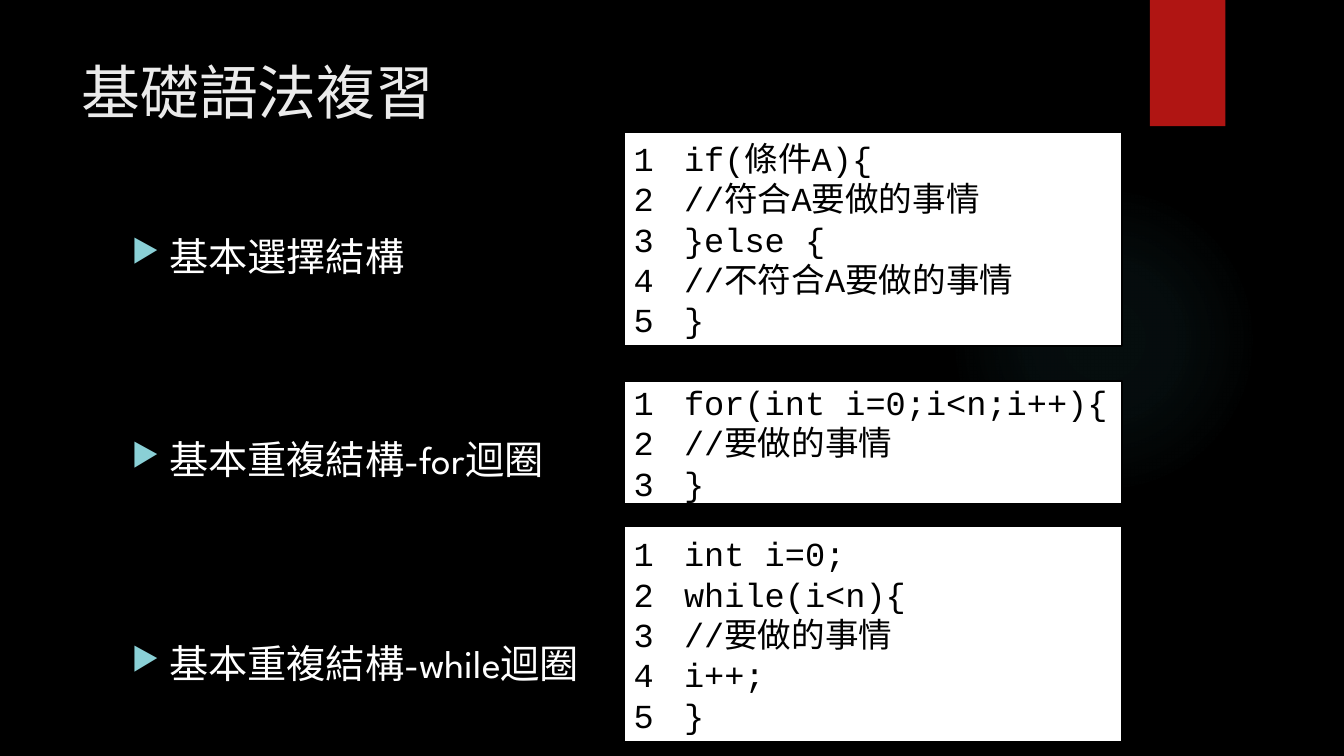
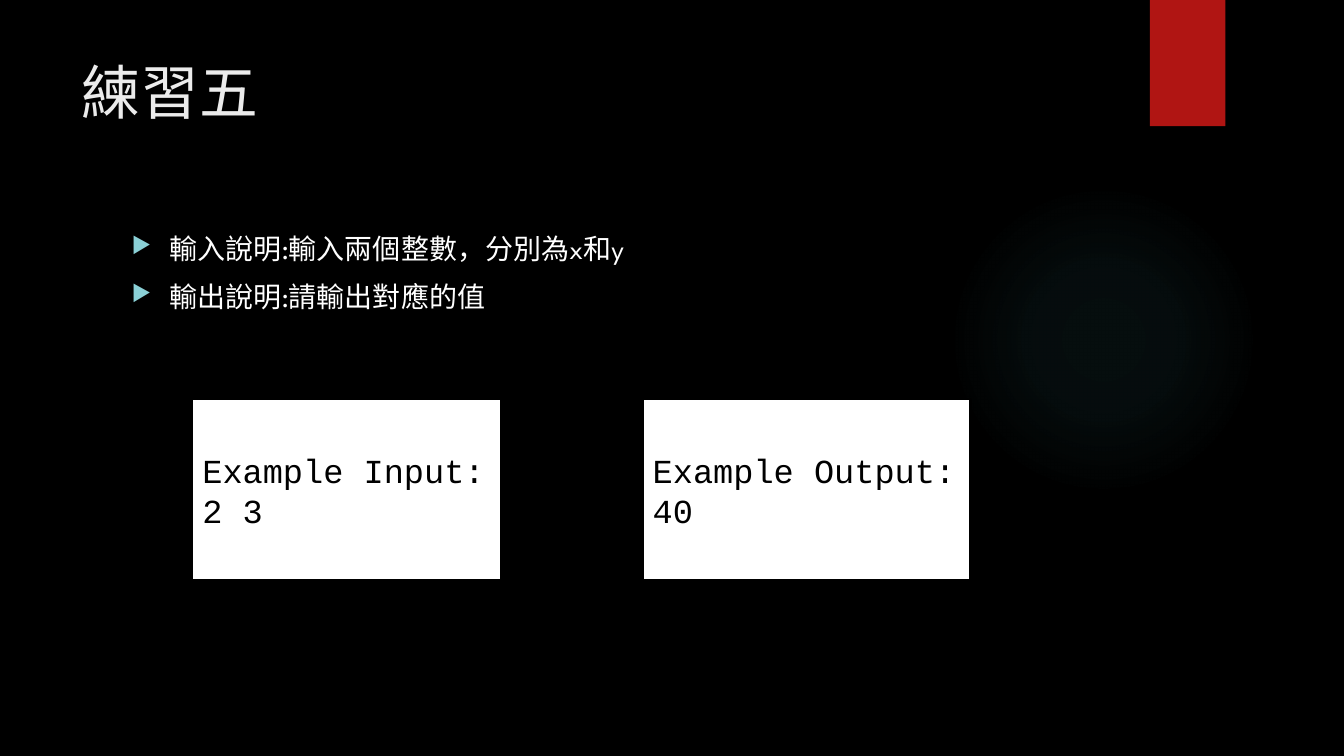
from lxml import etree
from pptx import Presentation
from pptx.dml.color import RGBColor
from pptx.enum import shapes, text
from pptx.oxml import ns
from pptx.util import Cm, Pt

COLORS = {
    "background": "000000",
    "title": "EBEBEB",
    "body": "FFFFFF",
    "bullet": "8AD0D6",
    "ribbon": "B01513",
    "glow": "50B9C1",
    "panel": "FFFFFF",
    "code": "000000",
}
HEADING_FONT = "League Spartan"
CODE_FONT = "Courier New"
GLOW_STOPS = [(0, 7), (36, 6), (69, 0), (100, 0)]  # position and opacity, in percent

# Each panel: left, top, width, height in cm, then its lines
SLIDES = [
    {
        "title": "基礎語法複習",
        "bullets": ["基本選擇結構", "基本重複結構-for迴圈", "基本重複結構-while迴圈"],
        "size": 28,
        "gap": 112,
        "numbered": True,
        "panels": [
            (15.72, 3.33, 12.55, 5.38,
             ["if(條件A){", "//符合A要做的事情", "}else {", "//不符合A要做的事情", "}"]),
            (15.72, 9.6, 12.55, 3.1,
             ["for(int i=0;i<n;i++){", "//要做的事情", "}"]),
            (15.72, 13.26, 12.55, 5.44,
             ["int i=0;", "while(i<n){", "//要做的事情", "i++;", "}"]),
        ],
    },
    {
        "title": "練習五",
        "bullets": ["輸入說明:輸入兩個整數，分別為x和y", "輸出說明:請輸出對應的值"],
        "size": 20,
        "gap": 10,
        "numbered": False,
        "panels": [
            (4.85, 10.06, 7.77, 4.57, ["Example Input:", "2 3"]),
            (16.2, 10.06, 8.26, 4.57, ["Example Output:", "40"]),
        ],
    },
]


def write_lines(text_frame, lines, font_name, size, color):
    text_frame.word_wrap = True
    text_frame.text = "\n".join(lines)
    for paragraph in text_frame.paragraphs:
        paragraph.alignment = text.PP_ALIGN.LEFT
        for run in paragraph.runs:
            run.font.name = font_name
            run.font.size = Pt(size)
            run.font.color.rgb = RGBColor.from_string(COLORS[color])


def add_marker(paragraph, indent, xml):
    """Give a paragraph a hanging indent and the bullet elements in xml."""
    properties = paragraph._p.get_or_add_pPr()
    properties.set("marL", str(indent))
    properties.set("indent", str(-indent))
    for element in etree.fromstring(f'<a:m {ns.nsdecls("a")}>{xml}</a:m>'):
        properties.append(element)


presentation = Presentation()
presentation.slide_width, presentation.slide_height = Cm(33.87), Cm(19.05)
background = presentation.slide_master.background.fill
background.solid()
background.fore_color.rgb = RGBColor.from_string(COLORS["background"])
title_only = presentation.slide_layouts[5]

bullet_xml = (
    f'<a:buClr><a:srgbClr val="{COLORS["bullet"]}"/></a:buClr>'
    '<a:buSzPct val="80000"/><a:buChar char="▶"/>'
)
number_xml = '<a:buFont typeface="+mj-lt"/><a:buAutoNum type="arabicPlain"/>'
stops_xml = "".join(
    f'<a:gs pos="{position * 1000}"><a:srgbClr val="{COLORS["glow"]}">'
    f'<a:alpha val="{opacity * 1000}"/></a:srgbClr></a:gs>'
    for position, opacity in GLOW_STOPS
)
glow_xml = (
    f'<a:gradFill {ns.nsdecls("a")}><a:gsLst>{stops_xml}</a:gsLst><a:path path="circle">'
    '<a:fillToRect l="50000" t="50000" r="50000" b="50000"/></a:path></a:gradFill>'
)

for content in SLIDES:
    slide = presentation.slides.add_slide(title_only)

    glow = slide.shapes.add_shape(
        shapes.MSO_SHAPE.OVAL, Cm(23.9), Cm(4.65), Cm(7.82), Cm(7.82))
    glow.shadow.inherit = False
    glow.line.fill.background()
    glow._element.spPr.find(ns.qn("a:prstGeom")).addnext(etree.fromstring(glow_xml))

    ribbon = slide.shapes.add_shape(
        shapes.MSO_SHAPE.RECTANGLE, Cm(28.98), 0, Cm(1.9), Cm(3.18))
    ribbon.shadow.inherit = False
    ribbon.line.fill.background()
    ribbon.fill.solid()
    ribbon.fill.fore_color.rgb = RGBColor.from_string(COLORS["ribbon"])

    title = slide.shapes.title
    title.left, title.top, title.width, title.height = Cm(1.8), Cm(1.27), Cm(26.14), Cm(3.89)
    title.text_frame.vertical_anchor = text.MSO_ANCHOR.TOP
    write_lines(title.text_frame, [content["title"]], HEADING_FONT, 42, "title")

    body = slide.shapes.add_textbox(Cm(3.07), Cm(5.72), Cm(24.84), Cm(11.66))
    write_lines(body.text_frame, content["bullets"], HEADING_FONT, content["size"], "body")
    for paragraph in body.text_frame.paragraphs:
        add_marker(paragraph, Cm(0.95), bullet_xml)
    for paragraph in body.text_frame.paragraphs[1:]:
        paragraph.space_before = Pt(content["gap"])

    for left, top, width, height, lines in content["panels"]:
        panel = slide.shapes.add_shape(
            shapes.MSO_SHAPE.RECTANGLE, Cm(left), Cm(top), Cm(width), Cm(height))
        panel.shadow.inherit = False
        panel.fill.solid()
        panel.fill.fore_color.rgb = RGBColor.from_string(COLORS["panel"])
        panel.line.color.rgb = RGBColor.from_string(COLORS["code"])
        panel.line.width = Pt(1.5)
        panel.text_frame.vertical_anchor = text.MSO_ANCHOR.MIDDLE
        write_lines(panel.text_frame, lines, CODE_FONT, 24, "code")
        if content["numbered"]:
            for paragraph in panel.text_frame.paragraphs:
                add_marker(paragraph, Cm(1.27), number_xml)

presentation.save("out.pptx")
